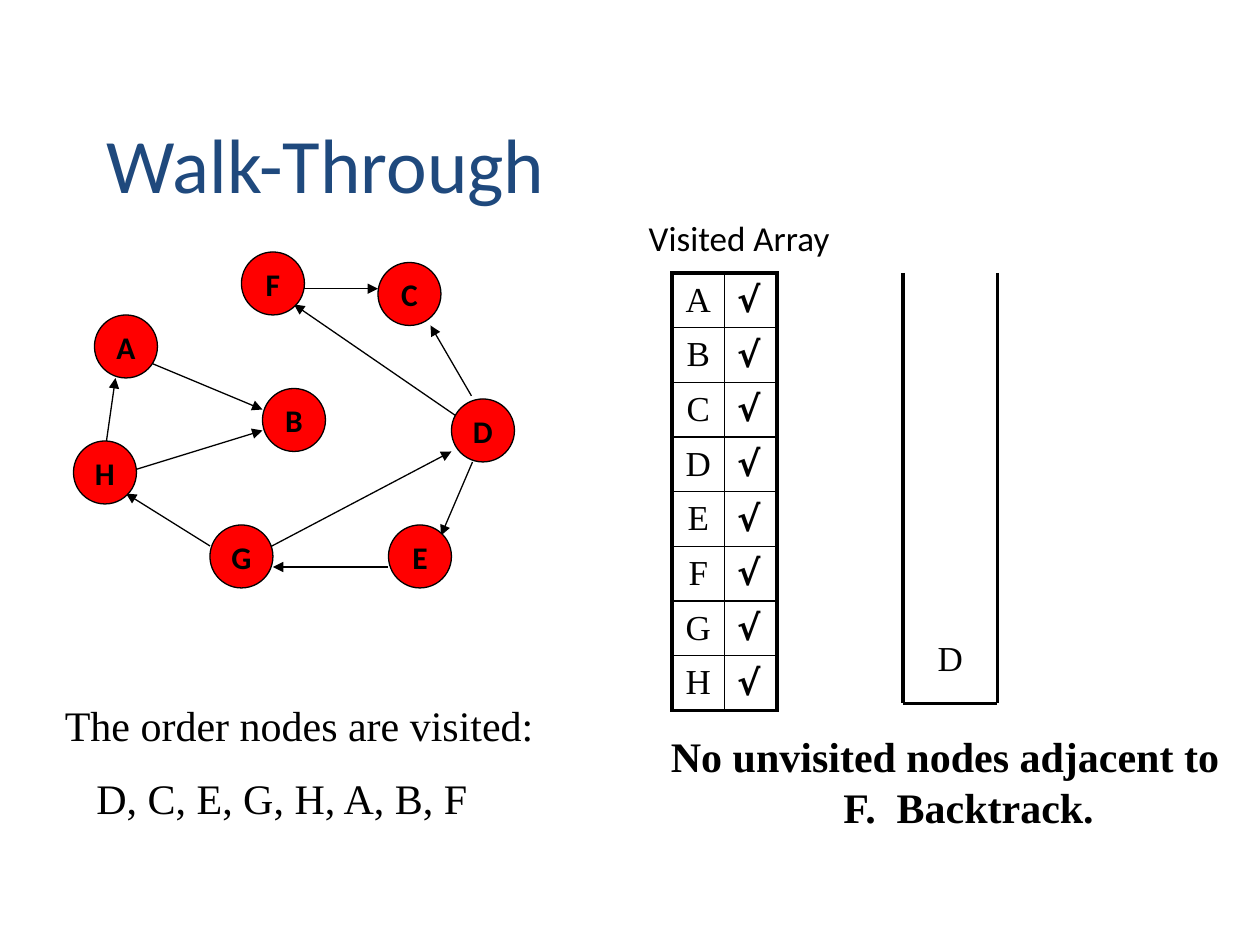
from dataclasses import dataclass

from pptx import Presentation
from pptx.dml.color import RGBColor
from pptx.enum import shapes, text
from pptx.oxml import ns
from pptx.util import Emu, Pt
from lxml import etree

PX = 7620  # EMU per px, 120 px to the inch
BLACK, RED, NAVY = "000000", "FF0000", "1F497D"
SANS, SERIF, SYMBOL = "Calibri", "Times New Roman", "DejaVu Sans"
NODE_SIZE = 60
THIN, THICK = 1, 2.25


@dataclass
class Node:
    name: str
    x: int
    y: int


@dataclass
class Line:
    x1: int
    y1: int
    x2: int
    y2: int


@dataclass
class Style:
    size: int
    font: str = SERIF
    color: str = BLACK
    bold: bool = False
    align: text.PP_ALIGN = text.PP_ALIGN.LEFT


NODES = [
    Node("A", 90, 300), Node("H", 70, 420), Node("B", 250, 370), Node("F", 230, 240),
    Node("E", 370, 500), Node("D", 430, 380), Node("C", 360, 250), Node("G", 200, 500),
]
EDGES = [
    Line(440, 400, 280, 290),  # D to F
    Line(450, 440, 420, 510),  # D to E
    Line(449, 377, 410, 310),  # D to C
    Line(120, 450, 250, 410),  # H to B
    Line(100, 430, 110, 360),  # H to A
    Line(240, 530, 430, 430),  # G to D
    Line(200, 520, 120, 470),  # G to H
    Line(130, 340, 250, 390),  # A to B
    Line(370, 540, 260, 540),  # E to G
    Line(290, 275, 360, 275),  # F to C
]
STACK_WALLS = [
    Line(860, 260, 860, 670), Line(950, 260, 950, 670), Line(860, 670, 950, 670),
]


def px(length: int) -> Emu:
    return Emu(length * PX)


def rgb(color: str) -> RGBColor:
    return RGBColor.from_string(color)


def style_paragraph(paragraph, style: Style) -> None:
    paragraph.alignment = style.align
    for span in paragraph.runs:
        span.font.size = Pt(style.size)
        span.font.name = style.font
        span.font.bold = style.bold
        span.font.color.rgb = rgb(style.color)


def indent(paragraph, left: int, first: int = 0) -> None:
    properties = paragraph._p.get_or_add_pPr()
    properties.set("marL", str(px(left)))
    properties.set("indent", str(px(first)))


def add_text(page, x: int, y: int, width: int, height: int, lines: list[str],
             style: Style, anchor=text.MSO_ANCHOR.TOP):
    box = page.shapes.add_textbox(px(x), px(y), px(width), px(height))
    frame = box.text_frame
    frame.word_wrap = True
    frame.vertical_anchor = anchor
    frame.text = "\n".join(lines)
    for paragraph in frame.paragraphs:
        style_paragraph(paragraph, style)
    return frame


def add_line(parent, line: Line, width: float, arrow: bool = False) -> None:
    connector = parent.shapes.add_connector(
        shapes.MSO_CONNECTOR.STRAIGHT, px(line.x1), px(line.y1), px(line.x2), px(line.y2))
    connector.line.width = Pt(width)
    connector.line.color.rgb = rgb(BLACK)
    if arrow:
        outline = connector.line._get_or_add_ln()
        etree.SubElement(outline, ns.qn("a:tailEnd"), type="triangle")
    etree.SubElement(connector._element.spPr, ns.qn("a:effectLst"))


def add_node(page, node: Node) -> None:
    circle = page.shapes.add_shape(
        shapes.MSO_SHAPE.OVAL, px(node.x), px(node.y), px(NODE_SIZE), px(NODE_SIZE))
    circle.shadow.inherit = False
    circle.fill.solid()
    circle.fill.fore_color.rgb = rgb(RED)
    circle.line.color.rgb = rgb(BLACK)
    circle.line.width = Pt(0.75)
    frame = circle.text_frame
    frame.word_wrap = False
    frame.vertical_anchor = text.MSO_ANCHOR.MIDDLE
    frame.text = node.name
    style_paragraph(frame.paragraphs[0],
                    Style(18, SANS, bold=True, align=text.PP_ALIGN.CENTER))


def set_borders(cell, widths: dict[str, float]) -> None:
    properties = cell._tc.get_or_add_tcPr()
    for position, (side, width) in enumerate(widths.items()):
        border = etree.Element(ns.qn(f"a:ln{side}"), w=str(Pt(width)))
        fill = etree.SubElement(border, ns.qn("a:solidFill"))
        etree.SubElement(fill, ns.qn("a:srgbClr"), val=BLACK)
        properties.insert(position, border)


def add_visited_table(page, x: int, y: int, column: int, row: int) -> None:
    names = sorted(node.name for node in NODES)
    last = len(names) - 1
    table = page.shapes.add_table(
        len(names), 2, px(x), px(y), px(2 * column), px(len(names) * row)).table
    table.first_row = table.horz_banding = False
    for table_column in table.columns:
        table_column.width = px(column)
    styles = [Style(20, align=text.PP_ALIGN.CENTER), Style(20, SYMBOL, bold=True)]
    for r, name in enumerate(names):
        table.rows[r].height = px(row)
        for c, content in enumerate((name, "√")):
            cell = table.cell(r, c)
            cell.fill.background()
            cell.vertical_anchor = text.MSO_ANCHOR.MIDDLE
            cell.text_frame.text = content
            style_paragraph(cell.text_frame.paragraphs[0], styles[c])
            set_borders(cell, {
                "L": THICK if c == 0 else THIN,
                "R": THICK if c == 1 else THIN,
                "T": THICK if r == 0 else THIN,
                "B": THICK if r == last else THIN,
            })


def main() -> None:
    deck = Presentation()
    deck.slide_width, deck.slide_height = px(1200), px(900)
    page = deck.slides.add_slide(deck.slide_layouts[6])

    # Title
    add_text(page, 90, 80, 1020, 150, ["Walk-Through"], Style(44, SANS, NAVY),
             text.MSO_ANCHOR.MIDDLE)

    # Graph
    for edge in EDGES:
        add_line(page, edge, 0.75, arrow=True)
    for node in NODES:
        add_node(page, node)

    # Visited array
    add_text(page, 606, 200, 220, 52, ["Visited Array"], Style(20, SANS))
    add_visited_table(page, 640, 260, 50, 52)

    # Stack
    stack = page.shapes.add_group_shape()
    for wall in STACK_WALLS:
        add_line(stack, wall, THICK)
    content = add_text(page, 860, 260, 90, 412, ["D"],
                       Style(20, align=text.PP_ALIGN.CENTER), text.MSO_ANCHOR.BOTTOM)
    content.margin_bottom = px(26)

    # Order of visits
    order = add_text(page, 50, 660, 540, 132,
                     ["The order nodes are visited:", "D, C, E, G, H, A, B, F"], Style(24))
    order.paragraphs[1].space_before = Pt(13)
    indent(order.paragraphs[1], 30)

    # Current step
    step = add_text(page, 610, 690, 580, 108,
                    ["No unvisited nodes adjacent to F.  Backtrack."],
                    Style(24, bold=True, align=text.PP_ALIGN.CENTER))
    indent(step.paragraphs[0], 45, -45)

    deck.save("out.pptx")


if __name__ == "__main__":
    main()
